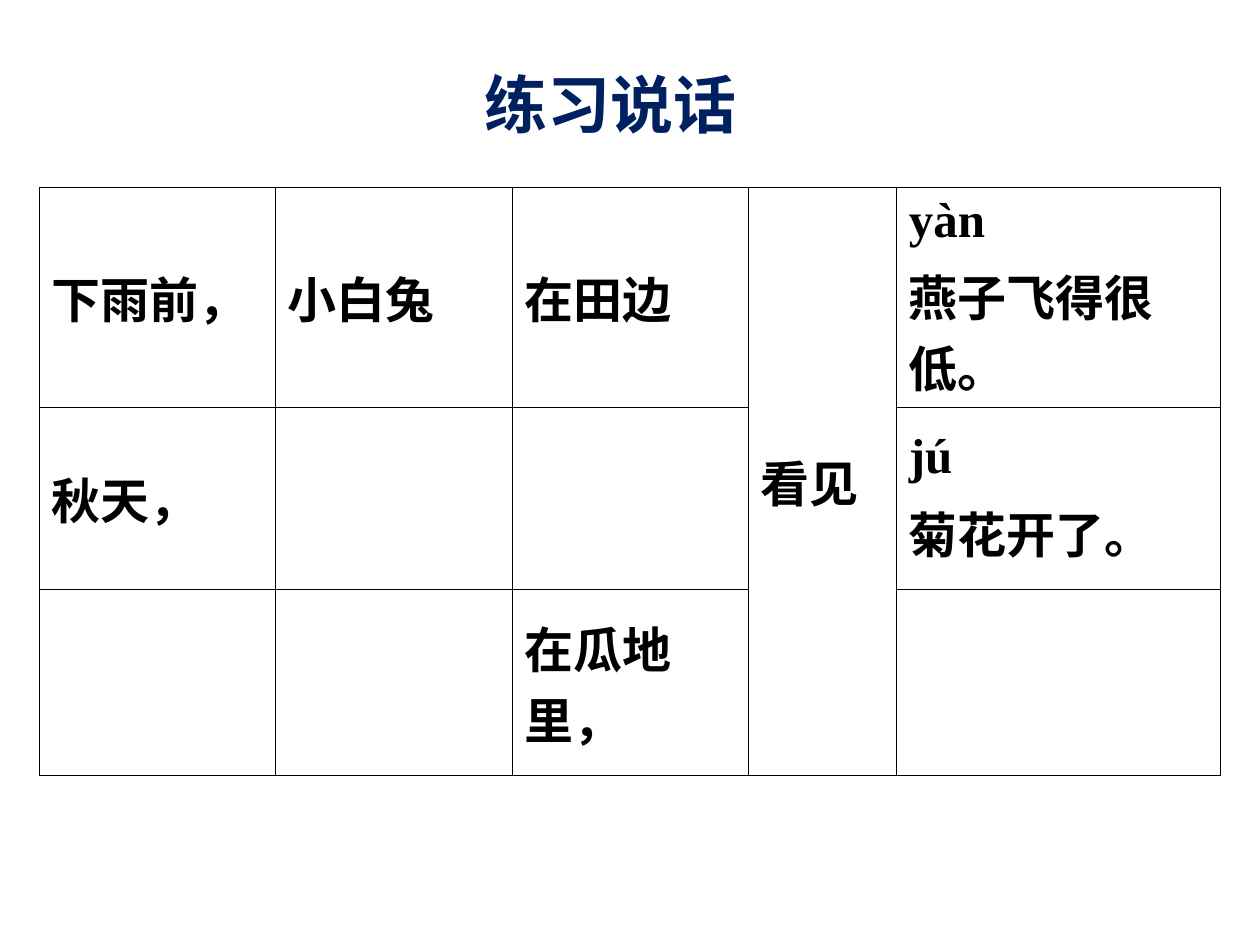
from dataclasses import dataclass

from lxml.etree import SubElement
from pptx import Presentation
from pptx.dml.color import RGBColor
from pptx.enum.text import MSO_ANCHOR, MSO_AUTO_SIZE, PP_ALIGN
from pptx.oxml.ns import qn
from pptx.util import Cm, Pt


@dataclass(frozen=True)
class Theme:
    """Colours, fonts and sizes of the slide."""
    title_color: RGBColor = RGBColor(0x00, 0x20, 0x60)
    text_color: RGBColor = RGBColor(0, 0, 0)
    border_color: str = "000000"
    border_width: Pt = Pt(0.45)
    latin_font: str = "Times New Roman"
    chinese_font: str = "Noto Sans CJK SC"
    title_size: Pt = Pt(36)
    text_size: Pt = Pt(28)
    paragraph_gap: Pt = Pt(7)


THEME = Theme()
COLUMN_WIDTHS = (4.76, 4.77, 4.76, 2.99, 6.53)
ROW_HEIGHTS = (3.76, 3.66, 3.76)
VERB_COLUMN = 3
SENTENCES = (
    ("下雨前，", "小白兔", "在田边", "看见", "yàn\n燕子飞得很低。"),
    ("秋天，", "", "", "", "jú\n菊花开了。"),
    ("", "", "在瓜地里，", "", ""),
)


def set_attributes(target, values):
    """Apply a dict of format values to an object."""
    for name, value in values.items():
        setattr(target, name, value)


def format_run(run, size, color, latin_font):
    """Give a run its font, with the Chinese face for Chinese text."""
    set_attributes(run.font, {"size": size, "bold": True, "name": latin_font})
    run.font.color.rgb = color
    SubElement(run._r.get_or_add_rPr(), qn("a:ea"), typeface=THEME.chinese_font)


def add_title(slide, text):
    """Place and format the title placeholder."""
    title = slide.shapes.title
    set_attributes(title, {"left": Cm(9.52), "top": Cm(1.19),
                           "width": Cm(11.71), "height": Cm(1.78)})
    set_attributes(title.text_frame, {"word_wrap": True,
                                      "auto_size": MSO_AUTO_SIZE.NONE,
                                      "vertical_anchor": MSO_ANCHOR.MIDDLE})
    paragraph = title.text_frame.paragraphs[0]
    paragraph.alignment = PP_ALIGN.LEFT
    run = paragraph.add_run()
    run.text = text
    format_run(run, THEME.title_size, THEME.title_color, THEME.chinese_font)


def add_borders(cell):
    """Draw a thin line on all four sides of a cell."""
    properties = cell._tc.get_or_add_tcPr()
    for side in ("lnL", "lnR", "lnT", "lnB"):
        line = SubElement(properties, qn(f"a:{side}"), w=str(THEME.border_width))
        fill = SubElement(line, qn("a:solidFill"))
        SubElement(fill, qn("a:srgbClr"), val=THEME.border_color)


def fill_cell(cell, text):
    """Write the lines of a cell, wrapping punctuation inside its borders."""
    add_borders(cell)
    cell.fill.background()
    cell.vertical_anchor = MSO_ANCHOR.MIDDLE
    if not text:
        return
    cell.text = text
    for index, paragraph in enumerate(cell.text_frame.paragraphs):
        paragraph._p.get_or_add_pPr().set("hangingPunct", "0")
        if index:
            paragraph.space_before = THEME.paragraph_gap
        for run in paragraph.runs:
            format_run(run, THEME.text_size, THEME.text_color, THEME.latin_font)


def add_sentence_table(slide):
    """Add the sentence table with one verb shared by all rows."""
    table = slide.shapes.add_table(
        len(ROW_HEIGHTS), len(COLUMN_WIDTHS), Cm(0.79), Cm(3.77),
        Cm(sum(COLUMN_WIDTHS)), Cm(sum(ROW_HEIGHTS))).table
    set_attributes(table, {"first_row": False, "horz_banding": False})
    for column, width in zip(table.columns, COLUMN_WIDTHS):
        column.width = Cm(width)
    for row, height, texts in zip(table.rows, ROW_HEIGHTS, SENTENCES):
        row.height = Cm(height)
        for cell, text in zip(row.cells, texts):
            fill_cell(cell, text)
    last_row = len(ROW_HEIGHTS) - 1
    table.cell(0, VERB_COLUMN).merge(table.cell(last_row, VERB_COLUMN))


def main():
    """Build the slide and save it."""
    presentation = Presentation()
    set_attributes(presentation, {"slide_width": Cm(25.4), "slide_height": Cm(19.05)})
    slide = presentation.slides.add_slide(presentation.slide_layouts[5])
    add_sentence_table(slide)
    add_title(slide, "练习说话")
    presentation.save("out.pptx")


if __name__ == "__main__":
    main()
